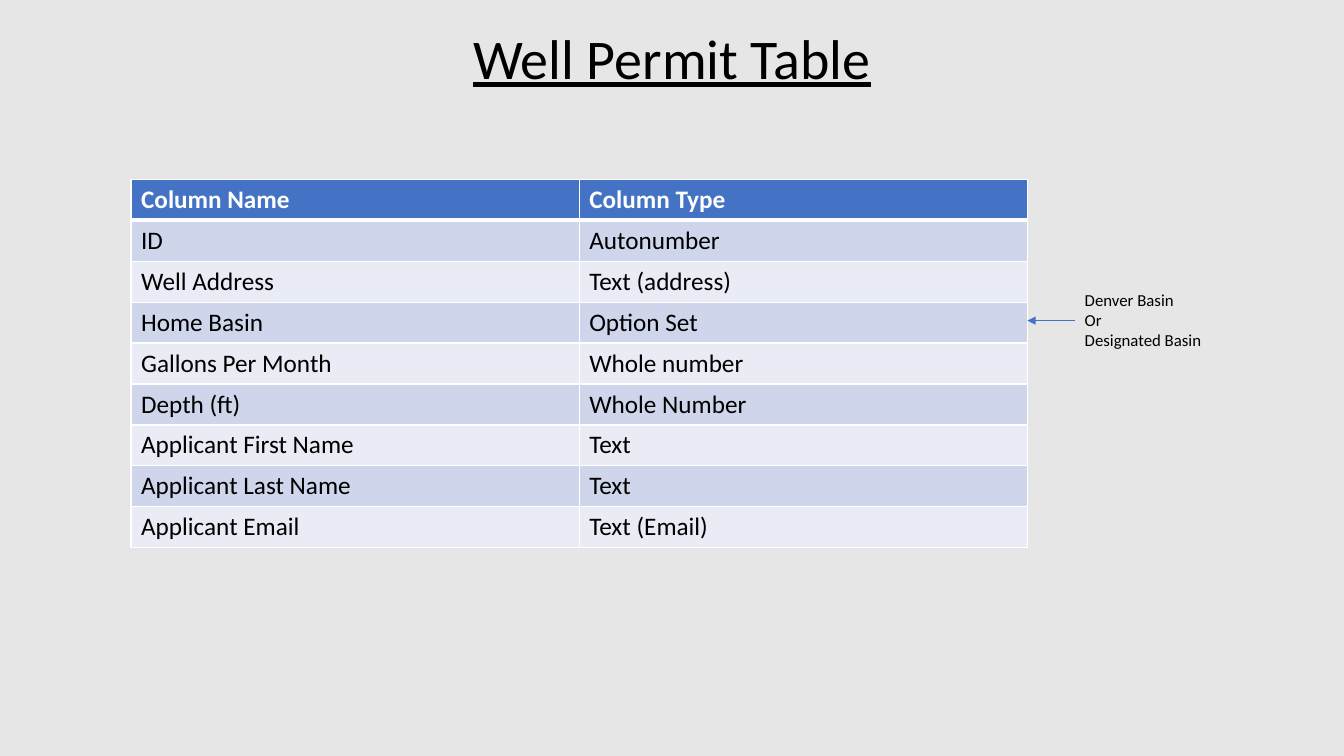
from dataclasses import dataclass

from lxml import etree
from pptx import Presentation
from pptx import util as u
from pptx.dml.color import RGBColor
from pptx.enum import shapes, text
from pptx.oxml import ns

FONT = "Calibri"
BACK = RGBColor(0xE7, 0xE6, 0xE6)
BLUE = RGBColor(0x44, 0x72, 0xC4)
BANDS = (RGBColor(0xE9, 0xEB, 0xF5), RGBColor(0xCF, 0xD5, 0xEA))
WHITE = RGBColor(0xFF, 0xFF, 0xFF)
BLACK = RGBColor(0, 0, 0)

# Grid of the slide, in inches
WIDE, HIGH = 13.33, 7.5
LEFT, TOP = 1.3, 1.78
COL, ROW = 4.445, 0.406
RIGHT = LEFT + 2 * COL
NOTE = 10.66
MID = TOP + 3.45 * ROW  # level of the "Home Basin" row


@dataclass
class Label:
    lines: list[str]
    left: float
    top: float
    width: float
    height: float
    size: int
    align: text.PP_ALIGN = text.PP_ALIGN.LEFT
    under: bool = False


LABELS = [
    Label(["Well Permit Table"], 0, 0.18, WIDE, 0.77, 40,
          text.PP_ALIGN.CENTER, True),
    Label(["Denver Basin", "Or", "Designated Basin"],
          NOTE, MID - 0.355, 1.45, 0.71, 12),
]

FIELDS = [
    ("Column Name", "Column Type"),
    ("ID", "Autonumber"),
    ("Well Address", "Text (address)"),
    ("Home Basin", "Option Set"),
    ("Gallons Per Month", "Whole number"),
    ("Depth (ft)", "Whole Number"),
    ("Applicant First Name", "Text"),
    ("Applicant Last Name", "Text"),
    ("Applicant Email", "Text (Email)"),
]


def style(para, size: int, color: RGBColor, bold: bool = False) -> None:
    font = para.font
    font.name, font.size, font.bold = FONT, u.Pt(size), bold
    font.color.rgb = color


def add_label(slide, label: Label) -> None:
    box = slide.shapes.add_textbox(
        *map(u.Inches, (label.left, label.top, label.width, label.height)))
    frame = box.text_frame
    frame.word_wrap = True
    frame.auto_size = text.MSO_AUTO_SIZE.SHAPE_TO_FIT_TEXT
    frame.text = "\n".join(label.lines)
    for para in frame.paragraphs:
        para.alignment = label.align
        style(para, label.size, BLACK)
        if label.under:
            para.font.underline = True


def add_edges(cell, row: int) -> None:
    # The line below the header is thicker
    bold = {"B": row == 0, "T": row == 1}
    props = cell._tc.get_or_add_tcPr()
    for i, side in enumerate("LRTB"):
        edge = etree.Element(ns.qn(f"a:ln{side}"),
                             w=str(u.Pt(3 if bold.get(side) else 1)))
        fill = etree.SubElement(edge, ns.qn("a:solidFill"))
        etree.SubElement(fill, ns.qn("a:srgbClr"), val=str(WHITE))
        props.insert(i, edge)


def add_fields(slide) -> None:
    count = len(FIELDS)
    table = slide.shapes.add_table(
        count, 2, *map(u.Inches, (LEFT, TOP, 2 * COL, count * ROW))).table
    for col in table.columns:
        col.width = u.Inches(COL)
    for r, names in enumerate(FIELDS):
        table.rows[r].height = u.Inches(ROW)
        head = r == 0
        for c, name in enumerate(names):
            cell = table.cell(r, c)
            cell.text = name
            cell.fill.solid()
            cell.fill.fore_color.rgb = BLUE if head else BANDS[r % 2]
            style(cell.text_frame.paragraphs[0], 18,
                  WHITE if head else BLACK, head)
            add_edges(cell, r)


def add_arrow(slide) -> None:
    arrow = slide.shapes.add_connector(
        shapes.MSO_CONNECTOR.STRAIGHT,
        *map(u.Inches, (NOTE, MID, RIGHT, MID)))
    arrow.line.color.rgb = BLUE
    arrow.line.width = u.Pt(0.5)
    etree.SubElement(arrow.line._get_or_add_ln(), ns.qn("a:tailEnd"),
                     type="triangle")
    etree.SubElement(arrow._element.spPr, ns.qn("a:effectLst"))


def main() -> None:
    deck = Presentation()
    deck.slide_width, deck.slide_height = u.Inches(WIDE), u.Inches(HIGH)
    slide = deck.slides.add_slide(deck.slide_layouts[6])
    slide.background.fill.solid()
    slide.background.fill.fore_color.rgb = BACK

    # Table, then title and note, then the arrow between note and table
    add_fields(slide)
    for label in LABELS:
        add_label(slide, label)
    add_arrow(slide)
    deck.save("out.pptx")


if __name__ == "__main__":
    main()
